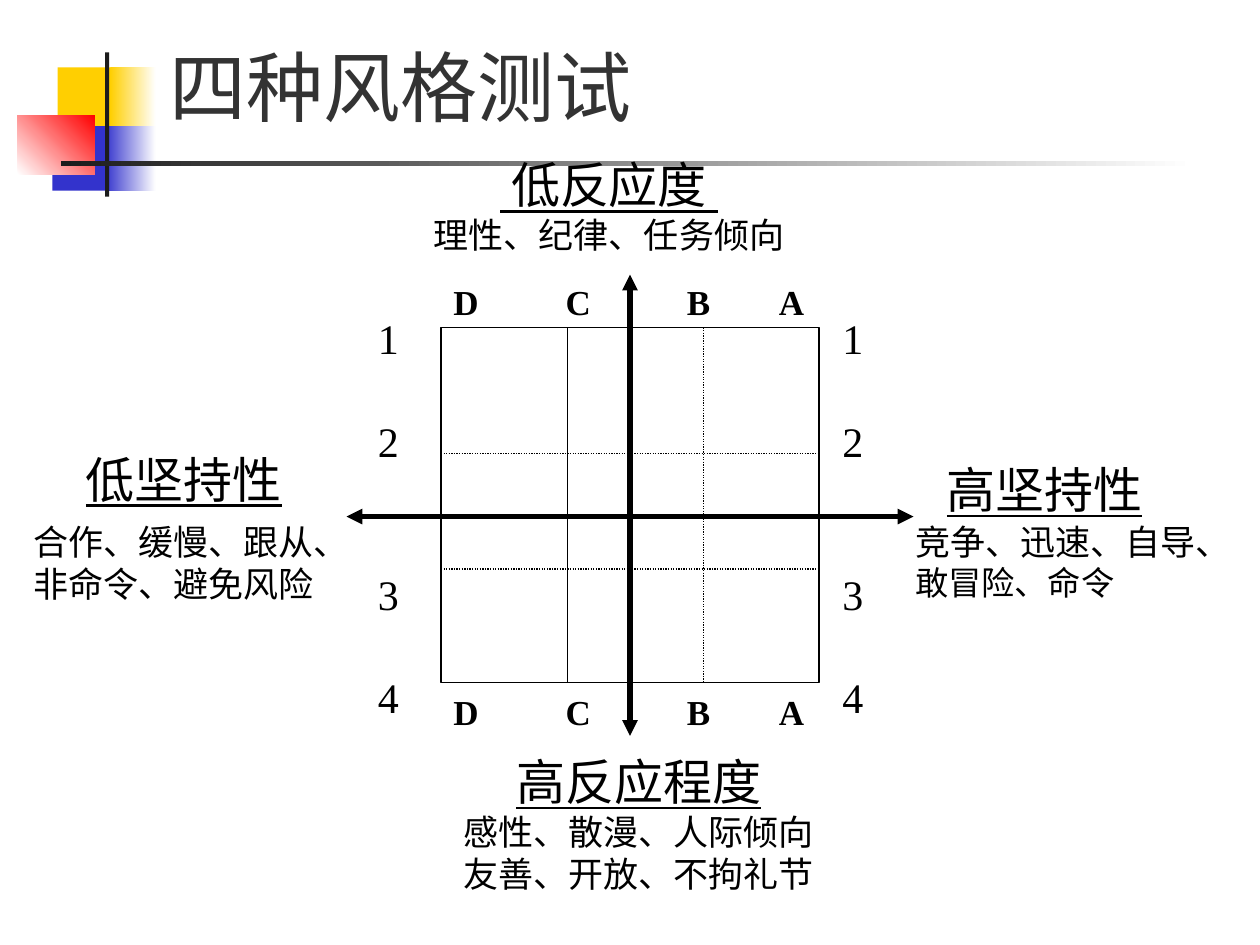
"""Build the four-styles test slide: a two-axis grid with labelled poles."""
from dataclasses import dataclass

import pptx
import pptx.dml.color
import pptx.enum.dml
import pptx.enum.shapes
import pptx.enum.text
import pptx.oxml
import pptx.oxml.ns
import pptx.util

Pt = pptx.util.Pt
ALIGN = pptx.enum.text.PP_ALIGN
ANCHOR = pptx.enum.text.MSO_ANCHOR
SERIF, SANS = "Times New Roman", "Noto Sans CJK SC"
BLACK, WHITE, DARK = "000000", "FFFFFF", "1C1C1C"
YELLOW, BLUE, RED = "FFCF01", "3333CC", "FF0000"


@dataclass(frozen=True)
class Block:
    x: float
    y: float
    w: float
    h: float
    colors: tuple[str, ...]
    angle: float = 0


@dataclass(frozen=True)
class Line:
    x1: float
    y1: float
    x2: float
    y2: float
    width: float = 0.75
    arrows: bool = False
    dotted: bool = False


@dataclass(frozen=True)
class Para:
    text: str
    size: float = 20
    font: str = SERIF
    color: str = BLACK
    bold: bool = False
    underline: bool = False
    before: float = 0
    tabs: tuple[float, ...] = ()
    tail: str = ""
    tail_size: float = 19


@dataclass(frozen=True)
class Label:
    x: float
    y: float
    w: float
    h: float
    paras: tuple[Para, ...]
    align: ALIGN = ALIGN.LEFT
    anchor: ANCHOR = ANCHOR.TOP


def rgb(value: str) -> pptx.dml.color.RGBColor:
    return pptx.dml.color.RGBColor.from_string(value)


def add_xml(parent, tag: str, **attrs: str):
    el = pptx.oxml.parse_xml(f"<a:{tag} {pptx.oxml.ns.nsdecls('a')}/>")
    for name, value in attrs.items():
        el.set(name, value)
    parent.append(el)
    return el


def draw_block(s, b: Block):
    sp = s.shapes.add_shape(pptx.enum.shapes.MSO_SHAPE.RECTANGLE,
                            Pt(b.x), Pt(b.y), Pt(b.w), Pt(b.h))
    sp.shadow.inherit = False
    sp.line.fill.background()
    if len(b.colors) == 1:
        sp.fill.solid()
        sp.fill.fore_color.rgb = rgb(b.colors[0])
    else:
        sp.fill.gradient()
        sp.fill.gradient_angle = b.angle
        for i, (stop, color) in enumerate(zip(sp.fill.gradient_stops, b.colors)):
            stop.position = i
            stop.color.rgb = rgb(color)
    return sp


def draw_line(s, ln: Line) -> None:
    sp = s.shapes.add_connector(pptx.enum.shapes.MSO_CONNECTOR.STRAIGHT,
                                Pt(ln.x1), Pt(ln.y1), Pt(ln.x2), Pt(ln.y2))
    sp.line.color.rgb = rgb(BLACK)
    sp.line.width = Pt(ln.width)
    if ln.dotted:
        sp.line.dash_style = pptx.enum.dml.MSO_LINE.ROUND_DOT
    if ln.arrows:
        for end in ("headEnd", "tailEnd"):
            add_xml(sp.line._get_or_add_ln(), end, type="triangle")
    add_xml(sp._element.spPr, "effectLst")


def draw_label(s, lb: Label) -> None:
    tf = s.shapes.add_textbox(Pt(lb.x), Pt(lb.y), Pt(lb.w), Pt(lb.h)).text_frame
    tf.word_wrap = True
    tf.vertical_anchor = lb.anchor
    for i, para in enumerate(lb.paras):
        p = tf.add_paragraph() if i else tf.paragraphs[0]
        p.alignment = lb.align
        p.space_before = Pt(para.before)
        if para.tabs:
            tabs = add_xml(p._p.get_or_add_pPr(), "tabLst")
            for pos in para.tabs:
                add_xml(tabs, "tab", pos=str(int(Pt(pos))), algn="l")
        p.font.name = para.font
        p.font.color.rgb = rgb(para.color)
        p.font.bold = para.bold
        p.font.underline = para.underline
        p.font.size = Pt(para.size)
        r = p.add_run()
        r.text = para.text
        if para.tail:
            r = p.add_run()
            r.text = para.tail
            r.font.size = Pt(para.tail_size)


def heading(text: str) -> Para:
    return Para(text, size=28, underline=True)


LEFT, TOP, RIGHT, BOTTOM = 252, 187.2, 468, 390
MID_X, MID_Y = 360, 295.2

DECOR = (
    Block(33, 38.5, 35, 37, (YELLOW,)),
    Block(63, 38.5, 26, 37, (YELLOW, WHITE)),
    Block(30, 72, 33, 37, (BLUE,)),
    Block(60, 72, 29, 37, (BLUE, WHITE)),
    Block(10, 66, 44.3, 33.5, (WHITE, RED), 45),
    Block(60, 30, 2.4, 82.5, (DARK,)),
    Block(35, 92, 648, 2.8, (DARK, WHITE)),
)
LINES = (
    Line(MID_X, 157, MID_X, 420.5, 3, arrows=True),
    Line(198, MID_Y, 522, MID_Y, 3, arrows=True),
    Line(324, TOP, 324, BOTTOM, 0.25, dotted=True),
    Line(402, TOP, 402, BOTTOM, dotted=True),
    Line(LEFT, 259.2, RIGHT, 259.2, dotted=True),
    Line(LEFT, 325.2, RIGHT, 325.2, dotted=True),
)
COLUMNS = (Para("D\tC\tB\tA", bold=True, tabs=(64.2, 133.5, 186)),)
ROWS = tuple(Para(str(n), size=24, before=gap)
             for n, gap in enumerate((0, 30, 58.7, 30), 1))
LABELS = (
    Label(162, 85, 372, 65, (heading(" 低反应度 "), Para("理性、纪律、任务倾向")), ALIGN.CENTER),
    Label(255, 426, 220, 89, (heading("高反应程度"), Para("感性、散漫、人际倾向"),
                              Para("友善、开放、不拘礼节")), ALIGN.CENTER),
    *(Label(LEFT, y, 216, 31.5, COLUMNS) for y in (157, 391)),
    *(Label(x, 175, 30, 237.6, ROWS) for x in (208.8, 474.3)),
    Label(534, 259.2, 144, 41, (heading("高坚持性"),)),
    Label(42, 253.2, 144, 41, (heading("低坚持性"),)),
    Label(516, 294, 186, 54, (Para("竞争、迅速、自导、", font=SANS, tail="敢冒险、命令"),)),
    Label(12, 294, 186, 55, (Para("合作、缓慢、跟从、", font=SANS),
                             Para("非命令、避免风险", font=SANS))),
    Label(90, 30, 613.5, 49, (Para("四种风格测试", 44, "Roboto", "333333"),),
          anchor=ANCHOR.BOTTOM),
)


def main() -> None:
    prs = pptx.Presentation()
    prs.slide_width, prs.slide_height = Pt(720), Pt(540)
    s = prs.slides.add_slide(prs.slide_layouts[6])
    for block in DECOR:
        draw_block(s, block)
    frame = draw_block(s, Block(LEFT, TOP, RIGHT - LEFT, BOTTOM - TOP, (WHITE,)))
    frame.line.color.rgb = rgb(BLACK)
    frame.line.width = Pt(0.75)
    for line in LINES:
        draw_line(s, line)
    for label in LABELS:
        draw_label(s, label)
    prs.save("out.pptx")


if __name__ == "__main__":
    main()
